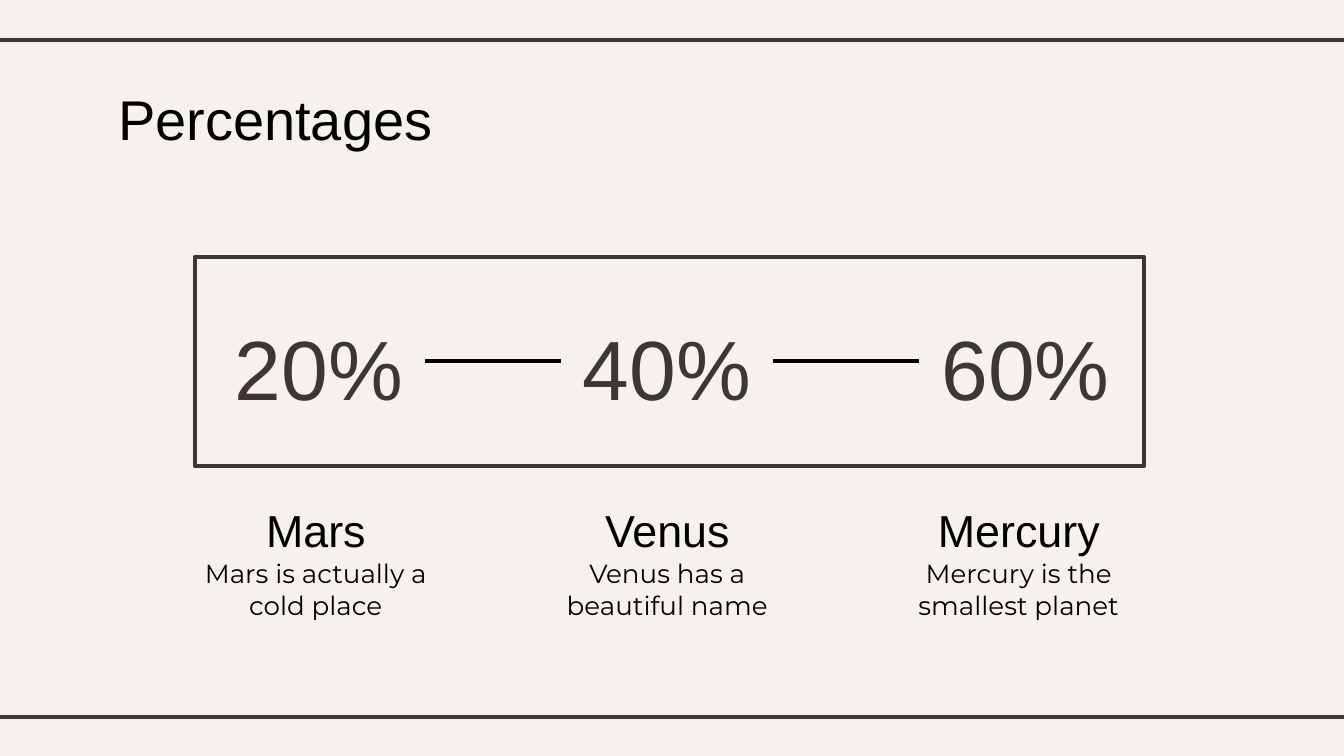
from lxml.etree import SubElement
from pptx import Presentation
from pptx.dml.color import RGBColor
from pptx.enum.shapes import MSO_CONNECTOR, MSO_SHAPE
from pptx.enum.text import MSO_ANCHOR as Anchor, PP_ALIGN as Align
from pptx.oxml.ns import qn
from pptx.util import Pt

CREAM = RGBColor(0xF5, 0xF2, 0xEE)
BROWN = RGBColor(0x3F, 0x35, 0x33)
BLACK = RGBColor(0x00, 0x00, 0x00)

SLIDE_WIDTH, SLIDE_HEIGHT = 720, 405
LINE_WIDTH = 2.25
INSET = 7.2
HEADING_INSET = 9.9
VALUE_INSET = 13.8
FIRST_CENTER, COLUMN_STEP = 169.2, 188.3
VALUE_WIDTH, VALUE_MIDDLE = 113.8, 193.4

PLANETS = [
    ("Mars", "Mars is actually a cold place"),
    ("Venus", "Venus has a beautiful name"),
    ("Mercury", "Mercury is the smallest planet"),
]
PERCENTAGES = [("20%", 113.8), ("40%", 300.4), ("60%", 492.5)]


def add_text(shapes, text, left, top, width, height, size, font="Arial",
             color=BLACK, align=Align.CENTER, anchor=Anchor.TOP,
             top_inset=INSET):
    """Add a wrapped text box holding one run."""
    box = shapes.add_textbox(Pt(left), Pt(top), Pt(width), Pt(height))
    frame = box.text_frame
    frame.word_wrap = True
    frame.vertical_anchor = anchor
    frame.margin_left = frame.margin_right = frame.margin_bottom = Pt(INSET)
    frame.margin_top = Pt(top_inset)
    paragraph = frame.paragraphs[0]
    paragraph.alignment = align
    run = paragraph.add_run()
    run.text = text
    run.font.size = Pt(size)
    run.font.name = font
    run.font.color.rgb = color


def add_rule(shapes, left, right, height, color):
    """Add a horizontal line without a shadow."""
    rule = shapes.add_connector(MSO_CONNECTOR.STRAIGHT, Pt(left), Pt(height),
                                Pt(right), Pt(height))
    rule.line.color.rgb = color
    rule.line.width = Pt(LINE_WIDTH)
    SubElement(rule._element.spPr, qn("a:effectLst"))


def add_planet(shapes, center, name, description):
    """Add a planet name with its description below."""
    add_text(shapes, name, center - 64.8, 259.2, 129.6, 34.6, 24,
             top_inset=HEADING_INSET)
    add_text(shapes, description, center - 72.7, 291.6, 145.4, 45.4, 14,
             font="Montserrat")


def add_percentage_panel(shapes):
    """Add the framed group of percentages joined by lines."""
    panel = shapes.add_group_shape().shapes
    frame = panel.add_shape(MSO_SHAPE.RECTANGLE, Pt(104.4), Pt(137.5),
                            Pt(508.3), Pt(112.3))
    frame.shadow.inherit = False
    frame.fill.background()
    frame.line.color.rgb = BROWN
    frame.line.width = Pt(LINE_WIDTH)
    for value, left in PERCENTAGES:
        add_text(panel, value, left, 159.8, VALUE_WIDTH, 67, 45, color=BROWN,
                 anchor=Anchor.MIDDLE, top_inset=VALUE_INSET)
    for (_, left), (_, following) in zip(PERCENTAGES, PERCENTAGES[1:]):
        add_rule(panel, left + VALUE_WIDTH, following, VALUE_MIDDLE, BLACK)


def main():
    """Build and save the slide."""
    presentation = Presentation()
    presentation.slide_width = Pt(SLIDE_WIDTH)
    presentation.slide_height = Pt(SLIDE_HEIGHT)
    slide = presentation.slides.add_slide(presentation.slide_layouts[6])
    slide.background.fill.solid()
    slide.background.fill.fore_color.rgb = CREAM
    shapes = slide.shapes
    for height in (21.5, 384):
        add_rule(shapes, -5.8, SLIDE_WIDTH + 5.8, height, BROWN)
    add_text(shapes, "Percentages", 56.2, 35.3, 251.3, 45.4, 30,
             align=Align.LEFT, top_inset=HEADING_INSET)
    for column, (name, description) in enumerate(PLANETS):
        add_planet(shapes, FIRST_CENTER + column * COLUMN_STEP, name,
                   description)
    add_percentage_panel(shapes)
    presentation.save("out.pptx")


if __name__ == "__main__":
    main()
